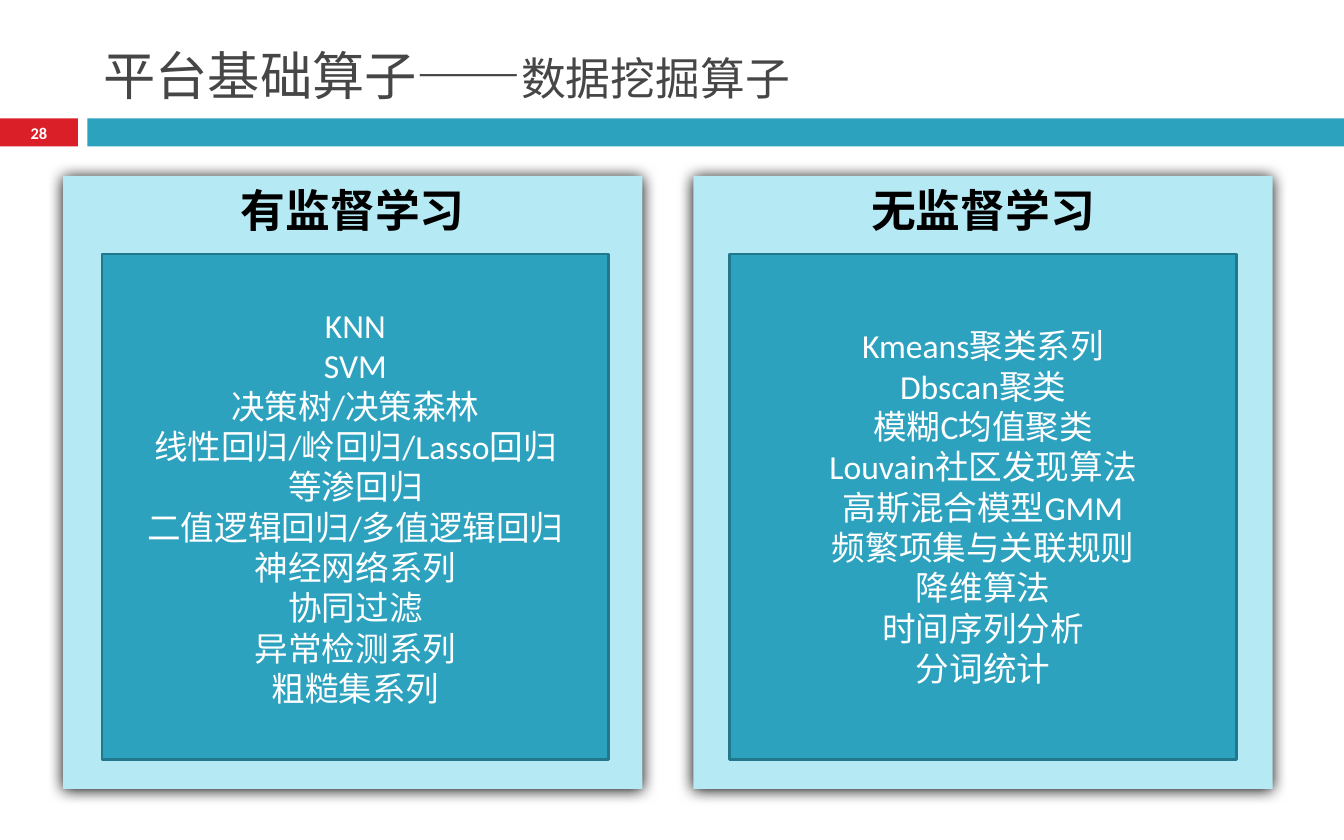
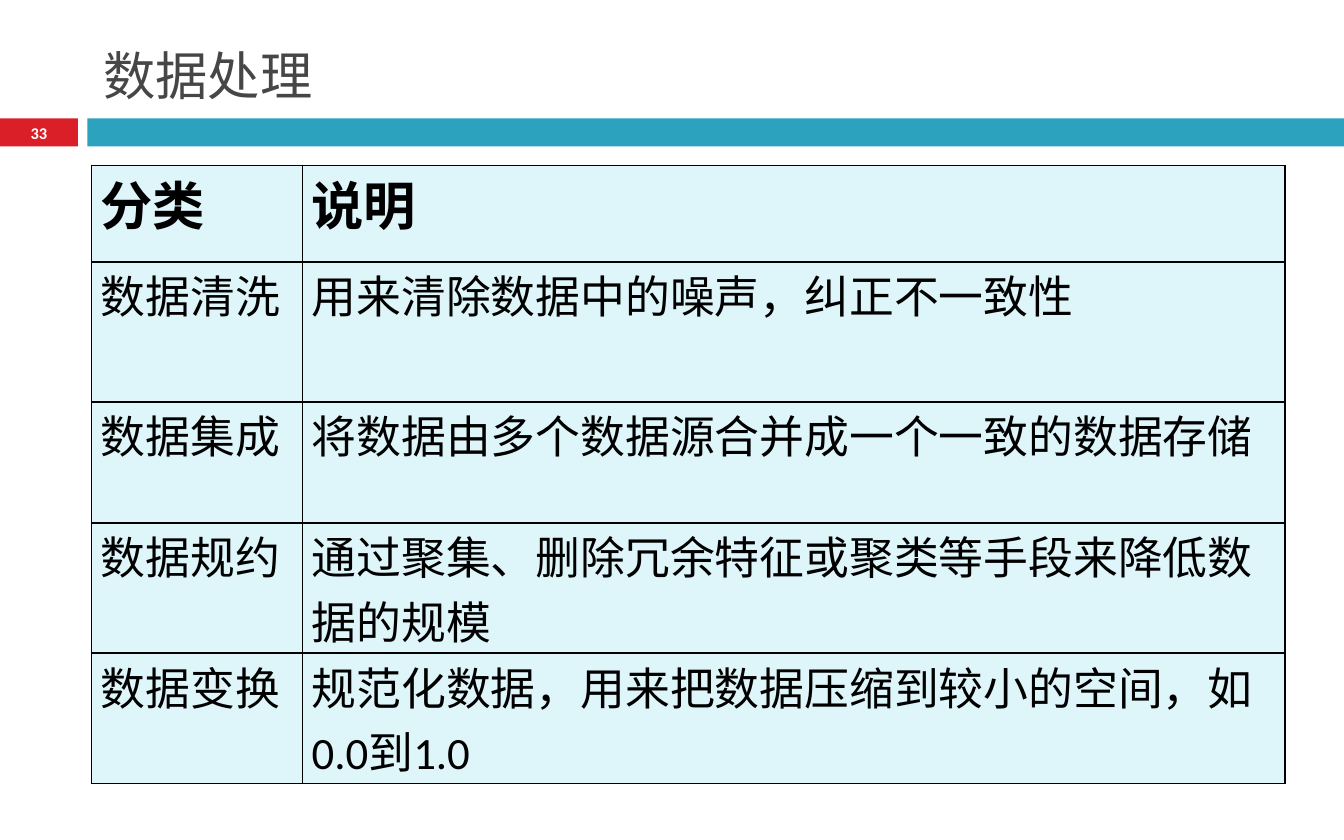
"""Build two slides on data mining operators and data processing."""
from dataclasses import dataclass

from lxml.etree import SubElement
from pptx import Presentation
from pptx.dml.color import RGBColor
from pptx.enum.shapes import MSO_SHAPE
from pptx.enum.text import MSO_ANCHOR, MSO_AUTO_SIZE, PP_ALIGN
from pptx.oxml.ns import qn
from pptx.util import Inches, Pt

OPERATORS = {
    "number": "28",
    "title": [("平台基础算子——", 28), ("数据挖掘算子", 24)],
    "panels": [
        ("有监督学习", 0.47, 0.76, [
            "KNN", "SVM", "决策树/决策森林", "线性回归/岭回归/Lasso回归", "等渗回归",
            "二值逻辑回归/多值逻辑回归", "神经网络系列", "协同过滤", "异常检测系列", "粗糙集系列",
        ]),
        ("无监督学习", 5.16, 5.43, [
            "Kmeans聚类系列", "Dbscan聚类", "模糊C均值聚类", "Louvain社区发现算法",
            "高斯混合模型GMM", "频繁项集与关联规则", "降维算法", "时间序列分析", "分词统计",
        ]),
    ],
}
PROCESSING = {
    "number": "33",
    "title": [("数据处理", 28)],
    "columns": [1.57, 7.31],
    "heights": [0.72, 1.04, 0.9, 0.97, 0.97],
    "rows": [
        ("分类", "说明"),
        ("数据清洗", "用来清除数据中的噪声，纠正不一致性"),
        ("数据集成", "将数据由多个数据源合并成一个一致的数据存储"),
        ("数据规约", "通过聚集、删除冗余特征或聚类等手段来降低数据的规模"),
        ("数据变换", "规范化数据，用来把数据压缩到较小的空间，如0.0到1.0"),
    ],
}


@dataclass(frozen=True)
class Theme:
    latin: str = "Calibri"
    chinese: str = "Noto Sans CJK SC"
    red: str = "DA1F28"
    teal: str = "2DA2BF"
    teal_dark: str = "21788D"
    panel: str = "B5E9F4"
    cell: str = "DEF5FA"
    gray: str = "464646"
    black: str = "000000"
    white: str = "FFFFFF"
    large: float = 28
    medium: float = 24
    body: float = 18
    number: float = 8.8


THEME = Theme()


def set_font(font, size, color, bold=False, latin=THEME.latin):
    font.size = Pt(size)
    font.bold = bold
    font.color.rgb = RGBColor.from_string(color)
    font.name = latin
    font._rPr.find(qn("a:latin")).addnext(
        font._rPr.makeelement(qn("a:ea"), {"typeface": THEME.chinese}))


def write_lines(frame, lines, size, color, bold=False, spacing=None, align=PP_ALIGN.CENTER):
    frame.word_wrap = True
    for index, line in enumerate(lines):
        paragraph = frame.paragraphs[0] if index == 0 else frame.add_paragraph()
        paragraph.text = line
        paragraph.alignment = align
        if spacing:
            paragraph.line_spacing = Pt(spacing)
        set_font(paragraph.font, size, color, bold)


def add_box(slide, left, top, width, height, fill, line=None):
    shape = slide.shapes.add_shape(
        MSO_SHAPE.RECTANGLE, Inches(left), Inches(top), Inches(width), Inches(height))
    shape.shadow.inherit = False
    shape.fill.solid()
    shape.fill.fore_color.rgb = RGBColor.from_string(fill)
    if line:
        shape.line.color.rgb = RGBColor.from_string(line)
        shape.line.width = Pt(1.5)
    else:
        shape.line.fill.background()
    return shape


def add_shadow(shape):
    effects = shape._element.spPr.find(qn("a:effectLst"))
    shadow = SubElement(effects, qn("a:outerShdw"), blurRad=str(Pt(8.5)), dist=str(Pt(1)),
                        dir="5400000", rotWithShape="0")
    SubElement(shadow, qn("a:srgbClr"), val=THEME.black)


def add_slide(presentation, content):
    slide = presentation.slides.add_slide(presentation.slide_layouts[5])
    add_box(slide, 0, 0.88, 0.58, 0.21, THEME.red)
    add_box(slide, 0.65, 0.88, 9.35, 0.21, THEME.teal)

    number = slide.shapes.add_textbox(0, Inches(0.88), Inches(0.58), Inches(0.22)).text_frame
    number.margin_top = number.margin_bottom = 0
    number.vertical_anchor = MSO_ANCHOR.MIDDLE
    write_lines(number, [content["number"]], THEME.number, THEME.white, bold=True)

    title = slide.shapes.title
    title.left, title.top = Inches(0.67), Inches(0.14)
    title.width, title.height = Inches(8.92), Inches(0.7)
    title.text_frame.auto_size = MSO_AUTO_SIZE.NONE
    title.text_frame.vertical_anchor = MSO_ANCHOR.BOTTOM
    paragraph = title.text_frame.paragraphs[0]
    paragraph.alignment = PP_ALIGN.LEFT
    for text, size in content["title"]:
        run = paragraph.add_run()
        run.text = text
        set_font(run.font, size, THEME.gray, latin=THEME.chinese)
    return slide


def add_panel(slide, heading, outer_left, inner_left, operators):
    panel = add_box(slide, outer_left, 1.31, 4.31, 4.56, THEME.panel)
    add_shadow(panel)
    panel.text_frame.vertical_anchor = MSO_ANCHOR.TOP
    write_lines(panel.text_frame, [heading], THEME.medium, THEME.black, bold=True, spacing=28.8)

    box = add_box(slide, inner_left, 1.89, 3.77, 3.76, THEME.teal, THEME.teal_dark)
    box.text_frame.vertical_anchor = MSO_ANCHOR.MIDDLE
    write_lines(box.text_frame, operators, THEME.body, THEME.white, spacing=21.6)


def style_cell(cell):
    properties = cell._tc.get_or_add_tcPr()
    for side in ("lnL", "lnR", "lnT", "lnB"):
        border = SubElement(properties, qn(f"a:{side}"), w=str(Pt(1)))
        SubElement(SubElement(border, qn("a:solidFill")), qn("a:srgbClr"), val=THEME.black)
    cell.fill.solid()
    cell.fill.fore_color.rgb = RGBColor.from_string(THEME.cell)
    cell.margin_left = cell.margin_right = Inches(0.07)
    cell.margin_top = cell.margin_bottom = 0


def add_processing_table(slide, content):
    rows, columns, heights = content["rows"], content["columns"], content["heights"]
    table = slide.shapes.add_table(
        len(rows), len(columns), Inches(0.68), Inches(1.23),
        Inches(sum(columns)), Inches(sum(heights))).table
    table.horz_banding = False
    for column, width in zip(table.columns, columns):
        column.width = Inches(width)
    for index, (row, height, texts) in enumerate(zip(table.rows, heights, rows)):
        row.height = Inches(height)
        is_header = index == 0
        size = THEME.large if is_header else THEME.medium
        for cell, text in zip(row.cells, texts):
            style_cell(cell)
            write_lines(cell.text_frame, [text], size, THEME.black,
                        bold=is_header, align=PP_ALIGN.LEFT)


def main():
    presentation = Presentation()
    presentation.slide_width, presentation.slide_height = Inches(10), Inches(6.25)
    operators_slide = add_slide(presentation, OPERATORS)
    for panel in OPERATORS["panels"]:
        add_panel(operators_slide, *panel)
    add_processing_table(add_slide(presentation, PROCESSING), PROCESSING)
    presentation.save("out.pptx")


if __name__ == "__main__":
    main()
